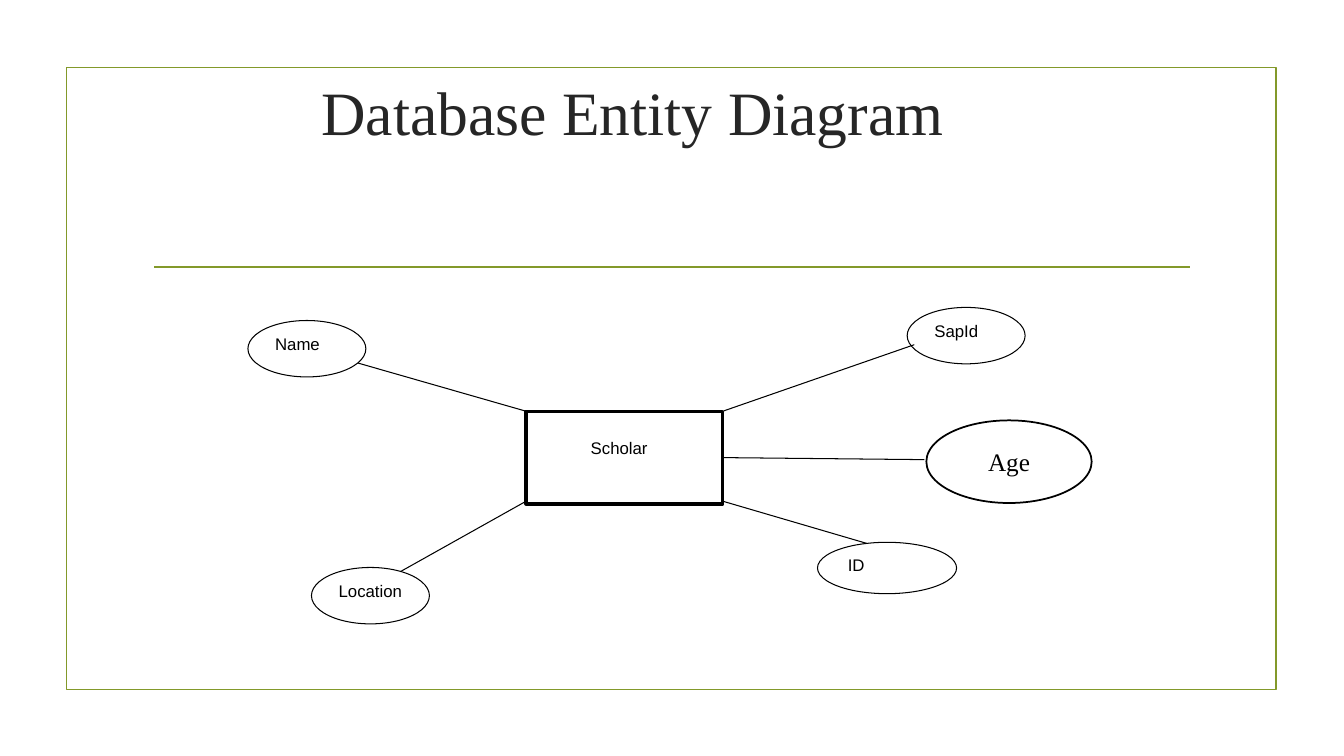
from pptx import Presentation
from pptx.dml.color import RGBColor
from pptx.enum.shapes import MSO_CONNECTOR, MSO_SHAPE
from pptx.enum.text import MSO_ANCHOR, PP_ALIGN
from pptx.oxml.ns import qn
from pptx.util import Inches, Pt

STRAIGHT = MSO_CONNECTOR.STRAIGHT
RECT, OVAL = MSO_SHAPE.RECTANGLE, MSO_SHAPE.OVAL
LEFT, CENTER = PP_ALIGN.LEFT, PP_ALIGN.CENTER
TOP, MIDDLE = MSO_ANCHOR.TOP, MSO_ANCHOR.MIDDLE
COLORS = {"olive": "83992A", "title": "262626", "ink": "000000", "paper": "FFFFFF"}
C = {name: RGBColor.from_string(value) for name, value in COLORS.items()}
CELL = Inches(0.1)  # square grid, 133.3 columns by 75 rows

prs = Presentation()
prs.slide_width, prs.slide_height = round(133.33 * CELL), 75 * CELL
s = prs.slides.add_slide(prs.slide_layouts[5])


def add_node(kind, box, weight, text="", size=12, font="Arial", align=LEFT, anchor=TOP):
    """Add an outlined shape; box is left, top, width, height in grid cells."""
    sp = s.shapes.add_shape(kind, *[round(v * CELL) for v in box])
    sp.shadow.inherit = False
    sp.fill.solid()
    sp.fill.fore_color.rgb = C["paper"]
    sp.line.color.rgb = C["ink"]
    sp.line.width = Pt(weight)
    tf = sp.text_frame
    tf.word_wrap = True
    tf.vertical_anchor = anchor
    if align == LEFT:
        tf.margin_right = 0
    p = tf.paragraphs[0]
    p.text = text
    p.alignment = align
    p.font.size, p.font.name, p.font.color.rgb = Pt(size), font, C["ink"]
    return sp


def add_line(start, end, color="ink", weight=0.75):
    """Add a straight line between two points in grid cells."""
    line = s.shapes.add_connector(STRAIGHT, *[round(v * CELL) for v in (*start, *end)])
    line.line.color.rgb = C[color]
    line.line.width = Pt(weight)
    line._element.spPr.append(line._element.makeelement(qn("a:effectLst"), {}))
    return line


# Frame and rule
frame = add_node(RECT, (6.6, 6.7, 120, 61.7), 1.25)
frame.fill.background()
frame.line.color.rgb = C["olive"]
add_line((15.3, 26.5), (118.1, 26.5), "olive", 1.25)

# Title
title = s.shapes.title
title.left, title.top, title.width, title.height = [
    round(v * CELL) for v in (10.3, 3.8, 105, 14.3)]
tf = title.text_frame
tf.vertical_anchor = MIDDLE
p = tf.paragraphs[0]
p.text = "Database Entity Diagram"
p.alignment = CENTER
p.font.size, p.font.name, p.font.color.rgb = Pt(44), "Times New Roman", C["title"]

# Entity
x, y, w, h = 52.2, 40.8, 19.5, 9.2
scholar = add_node(RECT, (x, y, w, h), 2.5, "Scholar")
scholar.text_frame.margin_left = round(6.4 * CELL)
scholar.text_frame.margin_top = round(2.6 * CELL)

# Attributes: box, link start on the entity, link end
SMALL = (11.7, 5.6)
lower = y + 0.97 * h
attributes = {
    "ID": ((81.1, 53.8, 13.8, 5.1), (x + w, lower), (86.3, 54)),
    "Location": ((30.9, 56.3, *SMALL), (x, lower), (37.6, 57.9)),
    "Name": ((24.6, 31.8, *SMALL), (x, y), (34.4, 35.7)),
}
for name, (box, start, end) in attributes.items():
    add_line(start, end)
    add_node(OVAL, box, 0.75, name)

# The SapId link runs over its oval
add_node(OVAL, (90, 30.5, *SMALL), 0.75, "SapId")
add_line((x + w, y), (90.7, 34.2))

age_link = add_line((x + w, y + h / 2), (91.7, 45.6))
age_link.begin_connect(scholar, 3)
add_node(OVAL, (91.9, 41.7, 16.4, 8.2), 1.25, "Age", 18, "Times New Roman", CENTER, MIDDLE)

prs.save("out.pptx")
